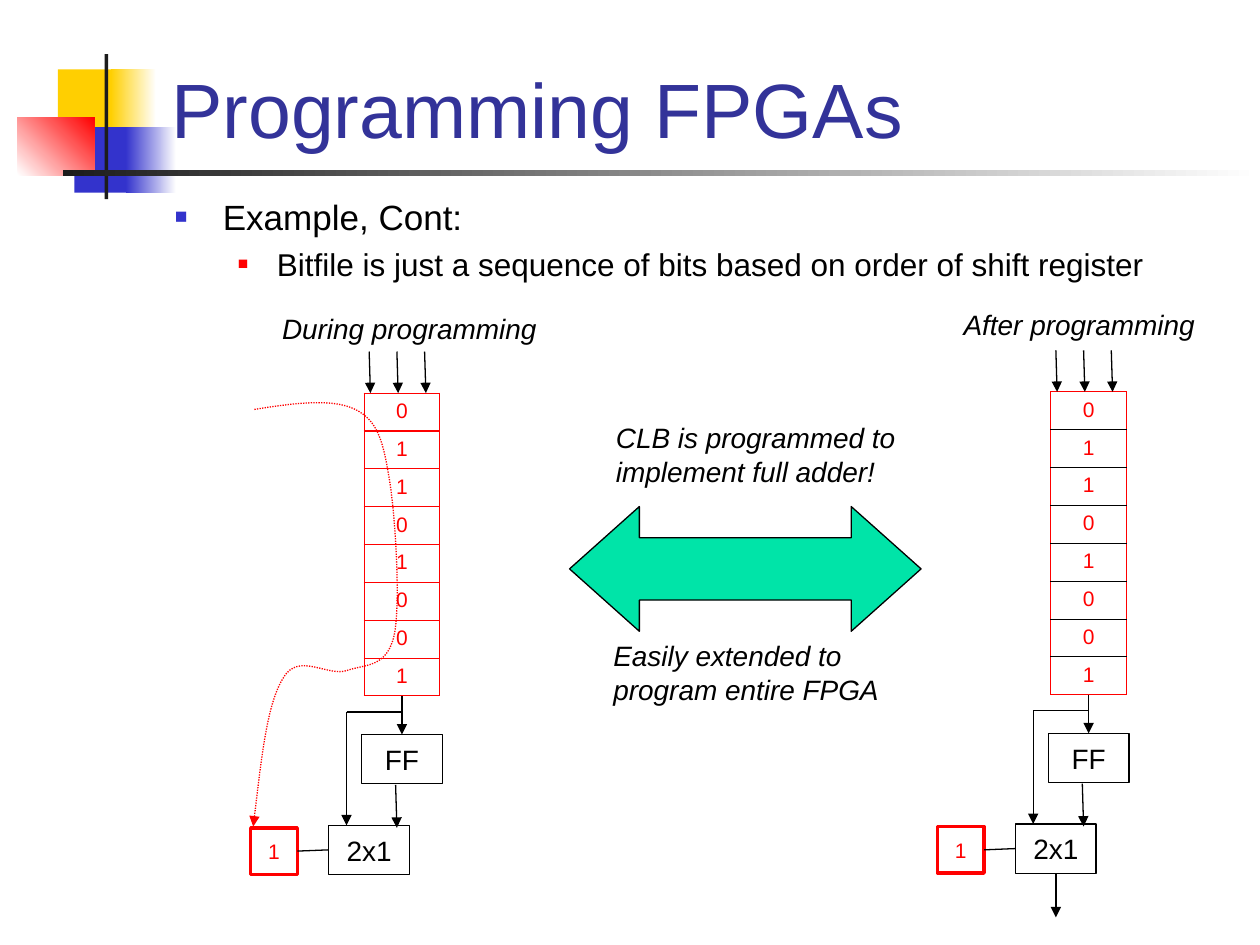
"""Build the slide on programming FPGAs through a shift register."""
from dataclasses import dataclass

from lxml import etree
from pptx import Presentation
from pptx.dml.color import RGBColor
from pptx.enum.dml import MSO_LINE
from pptx.enum.shapes import MSO_CONNECTOR, MSO_SHAPE
from pptx.enum.text import MSO_ANCHOR, MSO_AUTO_SIZE, PP_ALIGN
from pptx.oxml.ns import qn
from pptx.util import Pt

PX = 9144
RECT, DOUBLE_ARROW = MSO_SHAPE.RECTANGLE, MSO_SHAPE.LEFT_RIGHT_ARROW
STRAIGHT = MSO_CONNECTOR.STRAIGHT
DOTTED = MSO_LINE.ROUND_DOT
MIDDLE, BOTTOM = MSO_ANCHOR.MIDDLE, MSO_ANCHOR.BOTTOM
LEFT, CENTER = PP_ALIGN.LEFT, PP_ALIGN.CENTER
FIXED = MSO_AUTO_SIZE.NONE
TOP_SIDE, LEFT_SIDE, BOTTOM_SIDE, RIGHT_SIDE = range(4)


@dataclass(frozen=True)
class Theme:
    font: str = "Arial"
    ink: str = "000000"
    paper: str = "FFFFFF"
    heading: str = "333399"
    yellow: str = "FFCF01"
    blue: str = "3333CC"
    red: str = "FF0000"
    charcoal: str = "1C1C1C"
    green: str = "00E4A8"
    title_size: int = 44
    lead_size: int = 20
    point_size: int = 18
    label_size: int = 16
    bit_size: int = 12
    thin: float = 0.45
    normal: float = 0.75
    thick: float = 2


def assign(target, values):
    for name, value in values.items():
        setattr(target, name, value)


def emu(*lengths):
    return [length * PX for length in lengths]


class SlideBuilder:
    def __init__(self, page, theme):
        self.page, self.theme = page, theme

    def fill_para(self, para, text, size, color=None, align=LEFT, italic=False):
        para.text = text
        para.alignment = align
        assign(para.font, {"name": self.theme.font, "size": Pt(size), "italic": italic})
        para.font.color.rgb = RGBColor.from_string(color or self.theme.ink)

    def outline(self, shape, color, width):
        shape.line.color.rgb = RGBColor.from_string(color)
        shape.line.width = Pt(width)

    def arrowhead(self, shape):
        etree.SubElement(shape.element.spPr.find(qn("a:ln")), qn("a:tailEnd"), type="triangle")

    def shape(self, at, fill=None, line=None, kind=RECT):
        shape = self.page.shapes.add_shape(kind, *emu(*at))
        shape.shadow.inherit = False
        if fill:
            shape.fill.solid()
            shape.fill.fore_color.rgb = RGBColor.from_string(fill)
        else:
            shape.fill.background()
        if line:
            self.outline(shape, *line)
        else:
            shape.line.fill.background()
        return shape

    def fade(self, at, colors, angle=0):
        shape = self.shape(at)
        shape.fill.gradient()
        shape.fill.gradient_angle = angle
        for stop, color in zip(shape.fill.gradient_stops, colors):
            stop.color.rgb = RGBColor.from_string(color)

    def box(self, at, text, size, color, fill, width):
        shape = self.shape(at, fill, (color, width))
        assign(shape.text_frame, {"word_wrap": False, "vertical_anchor": MIDDLE})
        self.fill_para(shape.text_frame.paragraphs[0], text, size, color, CENTER)
        return shape

    def title(self, at, text):
        title = self.page.shapes.title
        assign(title, dict(zip(("left", "top", "width", "height"), emu(*at))))
        assign(title.text_frame, {"vertical_anchor": BOTTOM, "auto_size": FIXED, "word_wrap": True})
        self.fill_para(title.text_frame.paragraphs[0], text, self.theme.title_size, self.theme.heading)
        title.element.getparent().append(title.element)

    def text_box(self, at):
        frame = self.page.shapes.add_textbox(*emu(*at)).text_frame
        frame.word_wrap = True
        return frame

    def label(self, at, text):
        para = self.text_box(at).paragraphs[0]
        self.fill_para(para, text, self.theme.label_size, italic=True)

    def bullets(self, at, items):
        frame = self.text_box(at)
        for index, (text, size, color, scale, margin, hang, before) in enumerate(items):
            para = frame.add_paragraph() if index else frame.paragraphs[0]
            para.level = index
            para.space_before = Pt(before)
            props = para._p.get_or_add_pPr()
            props.set("marL", str(margin * PX))
            props.set("indent", str(-hang * PX))
            bullet_color = etree.SubElement(props, qn("a:buClr"))
            etree.SubElement(bullet_color, qn("a:srgbClr"), val=color)
            etree.SubElement(props, qn("a:buSzPct"), val=str(scale * 1000))
            etree.SubElement(props, qn("a:buFont"), typeface=self.theme.font)
            etree.SubElement(props, qn("a:buChar"), char="■")
            self.fill_para(para, text, size)

    def connect(self, start, end, arrow=True, begin_at=None, end_at=None):
        line = self.page.shapes.add_connector(STRAIGHT, *emu(*start, *end))
        if begin_at:
            line.begin_connect(*begin_at)
        if end_at:
            line.end_connect(*end_at)
        self.outline(line, self.theme.ink, self.theme.normal)
        if arrow:
            self.arrowhead(line)
        etree.SubElement(line.element.spPr, qn("a:effectLst"))

    def curve(self, points):
        builder = self.page.shapes.build_freeform(*points[0], scale=PX)
        builder.add_line_segments(points[1:], close=False)
        shape = builder.convert_to_shape()
        shape.shadow.inherit = False
        shape.fill.background()
        self.outline(shape, self.theme.red, self.theme.normal)
        shape.line.dash_style = DOTTED
        self.arrowhead(shape)
        track = next(shape.element.iter(qn("a:path")))
        steps = track.findall(qn("a:lnTo"))
        for first in range(0, len(steps), 3):
            bend = etree.SubElement(track, qn("a:cubicBezTo"))
            for step in steps[first:first + 3]:
                bend.append(step[0])
                track.remove(step)

    def register(self, at, bits, inner):
        left, top, width, row = at
        frame = self.page.shapes.add_table(len(bits), 1, *emu(left, top, width, row * len(bits)))
        table = frame.table
        assign(table, {"first_row": False, "horz_banding": False})
        outer, last = (self.theme.red, self.theme.normal), len(bits) - 1
        for index, bit in enumerate(bits):
            table.rows[index].height = row * PX
            cell = table.cell(index, 0)
            self.fill_para(cell.text_frame.paragraphs[0], bit, self.theme.bit_size, self.theme.red, CENTER)
            cell.fill.background()
            sides = {"lnL": outer, "lnR": outer, "lnT": inner if index else outer,
                     "lnB": inner if index < last else outer}
            for place, (side, (color, weight)) in enumerate(sides.items()):
                edge = etree.Element(qn(f"a:{side}"), w=str(Pt(weight)))
                paint = etree.SubElement(edge, qn("a:solidFill"))
                etree.SubElement(paint, qn("a:srgbClr"), val=color)
                cell._tc.get_or_add_tcPr().insert(place, edge)

    def logic_block(self, x, y, inner):
        theme = self.theme
        solid = (theme.label_size, theme.ink, theme.paper, theme.normal)
        flip_flop = self.box((x + 287, y + 583, 64, 39), "FF", *solid)
        mux = self.box((x + 261, y + 655, 64, 39), "2x1", *solid)
        bit = self.box((x + 199, y + 657, 37, 37), "1", theme.bit_size, theme.red, None, theme.thick)
        self.connect((x + 319, y + 552), (x + 319, y + 583), end_at=(flip_flop, TOP_SIDE))
        self.connect((x + 275, y + 565), (x + 275, y + 655))
        self.connect((x + 314, y + 623), (x + 315, y + 657))
        self.connect((x + 275, y + 565), (x + 319, y + 565), arrow=False)
        self.connect((x + 236, y + 675), (x + 261, y + 675), False, (bit, RIGHT_SIDE), (mux, LEFT_SIDE))
        self.register((x + 289, y + 312, 60, 30), "01101001", inner)
        for column in (293, 315, 337):
            self.connect((x + column, y + 279), (x + column + 1, y + 312))
        return mux


def main():
    theme = Theme()
    deck = Presentation()
    deck.slide_width, deck.slide_height = emu(1000, 750)
    slide = SlideBuilder(deck.slides.add_slide(deck.slide_layouts[5]), theme)

    slide.shape((46, 55, 48, 52), theme.yellow)
    slide.fade((88, 55, 36, 52), (theme.yellow, theme.paper))
    slide.shape((59, 101, 46, 52), theme.blue)
    slide.fade((100, 101, 40, 52), (theme.blue, theme.paper))
    slide.fade((14, 93, 61, 46), (theme.paper, theme.red), 45)
    slide.shape((83, 43, 3, 115), theme.charcoal)
    slide.fade((50, 135, 950, 5), (theme.charcoal, theme.paper))

    slide.title((126, 2, 852, 125), "Programming FPGAs")
    slide.bullets((129, 150, 850, 80), [
        ("Example, Cont:", theme.lead_size, theme.blue, 60, 38, 38, 0),
        ("Bitfile is just a sequence of bits based on order of shift register",
         theme.point_size, theme.red, 55, 81, 31, 4.5)])

    slide.logic_block(0, 0, (theme.red, theme.normal))
    slide.curve([(202, 325), (233, 320), (264, 316), (282, 325), (300, 334), (304, 350), (309, 380),
                 (314, 410), (318, 479), (313, 504), (307, 530), (291, 527), (276, 532),
                 (261, 538), (237, 517), (225, 538), (212, 558), (207, 607), (201, 656)])
    mux = slide.logic_block(545, -1, (theme.ink, theme.thin))
    slide.connect((838, 693), (838, 728), begin_at=(mux, BOTTOM_SIDE))

    slide.label((755, 239, 246, 37), "After programming")
    slide.label((214, 242, 246, 37), "During programming")
    arrow = slide.shape((452, 402, 279, 99), theme.green, (theme.ink, theme.normal), DOUBLE_ARROW)
    arrow.adjustments[0], arrow.adjustments[1] = 0.5, 0.56
    slide.label((479, 329, 246, 64), "CLB is programmed to implement full adder!")
    slide.label((477, 502, 246, 64), "Easily extended to program entire FPGA")
    deck.save("out.pptx")


if __name__ == "__main__":
    main()
